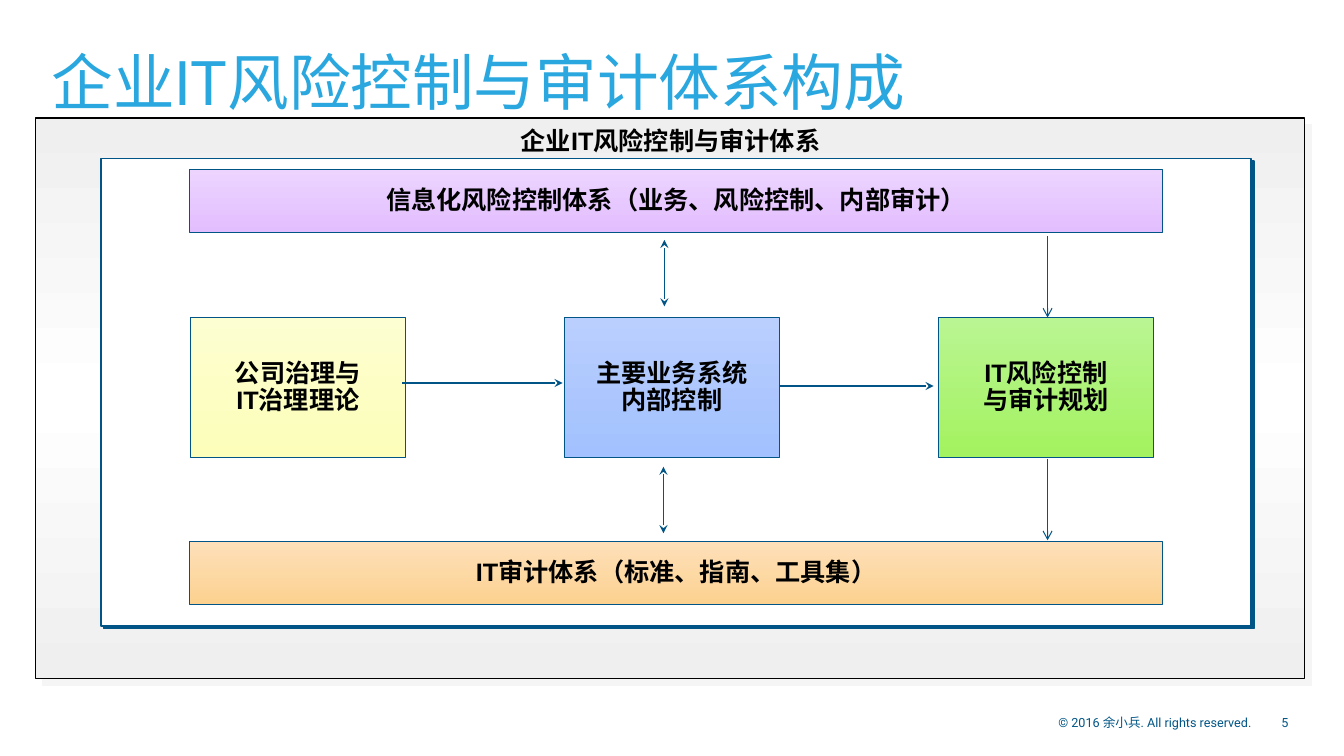
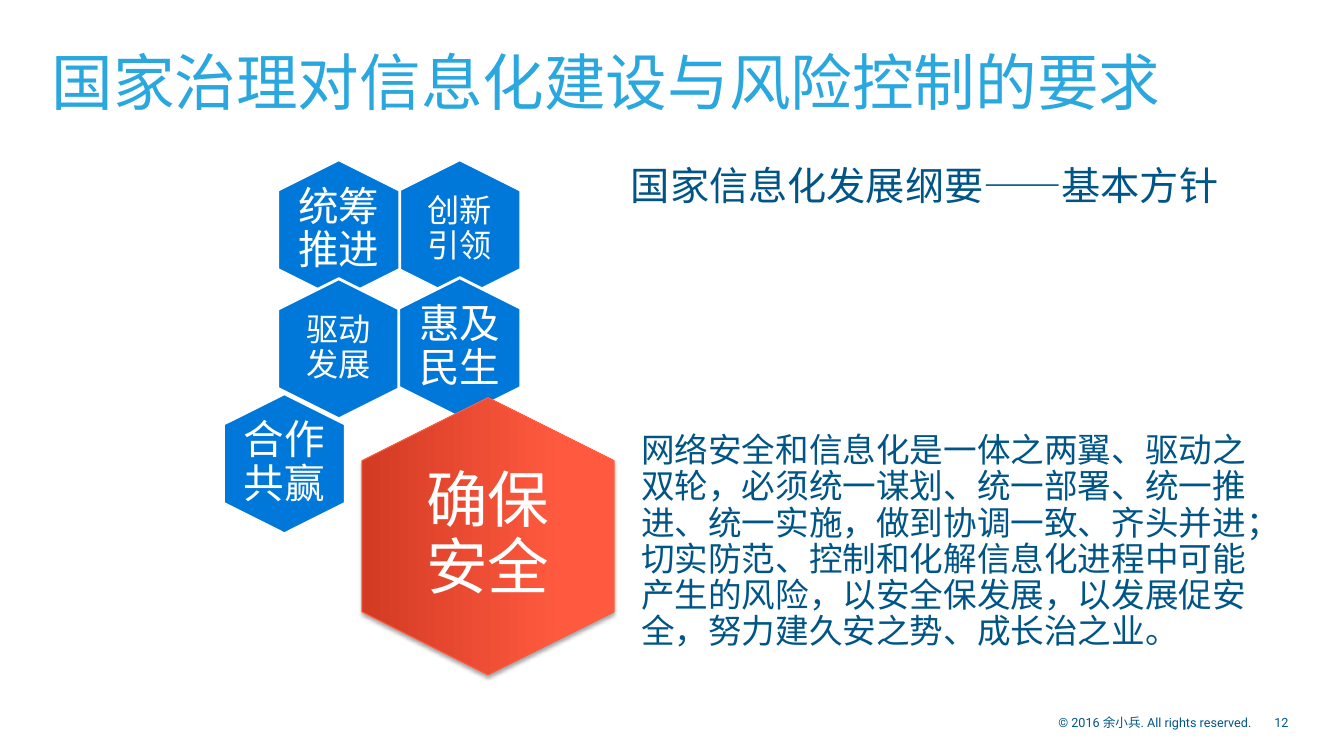
import pptx
import pptx.dml.color
import pptx.enum.dml
import pptx.enum.shapes
import pptx.enum.text
import pptx.oxml.ns
import pptx.util
from lxml import etree

RGB = pptx.dml.color.RGBColor
SHAPE = pptx.enum.shapes.MSO_SHAPE
ALIGN = pptx.enum.text.PP_ALIGN
ANCHOR = pptx.enum.text.MSO_ANCHOR
qn = pptx.oxml.ns.qn

SKY, NAVY, BLUE = RGB(0x29, 0xA7, 0xDE), RGB(0x00, 0x55, 0x86), RGB(0x00, 0x78, 0xD9)
BLACK, WHITE = RGB(0, 0, 0), RGB(0xFF, 0xFF, 0xFF)
CORAL, MIST, SMOKE = RGB(0xFE, 0x5E, 0x44), RGB(0xEF, 0xEF, 0xEF), RGB(0xF5, 0xF5, 0xF5)
GREY_FADE = [(0, MIST), (50, WHITE), (100, MIST)]
RED_FADE = [(0, RGB(0xD3, 0x3B, 0x23)), (80, RGB(0xFF, 0x5A, 0x40)), (100, RGB(0xFF, 0x5B, 0x41))]
PURPLE_FADE = [(0, RGB(0xEC, 0xD4, 0xFF)), (100, RGB(0xE3, 0xBE, 0xFF))]
ORANGE_FADE = [(0, RGB(0xFD, 0xE0, 0xBA)), (100, RGB(0xFC, 0xD1, 0x8F))]
YELLOW_FADE = [(0, RGB(0xFD, 0xFE, 0xD1)), (100, RGB(0xFC, 0xFE, 0xB9))]
BLUE_FADE = [(0, RGB(0xBA, 0xCF, 0xFE)), (100, RGB(0xA2, 0xC1, 0xFE))]
GREEN_FADE = [(0, RGB(0xBA, 0xF5, 0x93)), (100, RGB(0xA3, 0xF2, 0x5F))]

COPYRIGHT = "© 2016 余小兵. All rights reserved."

# Framework slide
FRAMEWORK_TITLE = "企业IT风险控制与审计体系构成"
FRAMEWORK_NAME = "企业IT风险控制与审计体系"
BANDS = [  # top, text, fade
    (1.68, "信息化风险控制体系（业务、风险控制、内部审计）", PURPLE_FADE),
    (5.37, "IT审计体系（标准、指南、工具集）", ORANGE_FADE),
]
STAGES = [
    (["公司治理与", "IT治理理论"], YELLOW_FADE),
    (["主要业务系统", "内部控制"], BLUE_FADE),
    (["IT风险控制", "与审计规划"], GREEN_FADE),
]
BAND_LEFT, BAND_WIDTH, BAND_HEIGHT = 1.88, 9.65, 0.63
STAGE_LEFT, STAGE_TOP, STAGE_PITCH, STAGE_WIDTH, STAGE_HEIGHT = 1.89, 3.15, 3.71, 2.13, 1.39
FLOWS = [  # start, end, line width, arrowhead at start, arrowhead at end
    ((3.99, 3.8), (5.58, 3.8), 1, None, "stealth"),
    ((7.74, 3.83), (9.26, 3.83), 1, None, "stealth"),
    ((6.59, 3.04), (6.59, 2.38), 1, "stealth", "stealth"),
    ((6.58, 5.29), (6.58, 4.63), 1, "stealth", "stealth"),
    ((10.39, 2.34), (10.39, 3.15), 0.75, None, "arrow"),
    ((10.39, 4.55), (10.39, 5.36), 0.75, None, "arrow"),
]

# Policy slide
POLICY_TITLE = "国家治理对信息化建设与风险控制的要求"
POLICY_HEADING = "国家信息化发展纲要——基本方针"
POLICY_TEXT = ("网络安全和信息化是一体之两翼、驱动之双轮，必须统一谋划、统一部署、"
               "统一推进、统一实施，做到协调一致、齐头并进；切实防范、控制和化解"
               "信息化进程中可能产生的风险，以安全保发展，以发展促安全，努力建"
               "久安之势、成长治之业。")
SMALL, LARGE = (1.39, 1.21), (2.75, 2.5)
PRINCIPLES = [  # text, centre, size, text size
    ("创新引领", (4.56, 2.28), SMALL, 23),
    ("统筹推进", (3.36, 2.28), SMALL, 29),
    ("驱动发展", (3.36, 3.46), SMALL, 23),
    ("惠及民生", (4.56, 3.45), SMALL, 29),
    ("确保安全", (4.84, 5.32), LARGE, 44),
    ("合作共赢", (2.82, 4.6), SMALL, 29),
]

deck = pptx.Presentation()
deck.slide_width, deck.slide_height = pptx.util.Inches(13.33), pptx.util.Inches(7.5)


def inches(*lengths):
    """Convert lengths in inches to a list of EMU."""
    return [pptx.util.Inches(length) for length in lengths]


def write(holder, lines, size, color, font="Roboto", bold=False, align=ALIGN.LEFT,
          anchor=ANCHOR.MIDDLE, inset=(0.1, 0.05), spacing=1.0, wrap=True):
    """Fill a shape or placeholder with evenly formatted paragraphs."""
    frame = holder.text_frame
    frame.text = "\n".join(lines)
    frame.word_wrap, frame.vertical_anchor = wrap, anchor
    frame.auto_size = pptx.enum.text.MSO_AUTO_SIZE.NONE
    frame.margin_left = frame.margin_right = pptx.util.Inches(inset[0])
    frame.margin_top = frame.margin_bottom = pptx.util.Inches(inset[1])
    for paragraph in frame.paragraphs:
        paragraph.alignment, paragraph.line_spacing = align, spacing
        paragraph.font.name, paragraph.font.size = font, pptx.util.Pt(size)
        paragraph.font.bold, paragraph.font.color.rgb = bold, color


def add_text(slide, box, lines, size, color, **style):
    """Add a text box."""
    write(slide.shapes.add_textbox(*inches(*box)), lines, size, color, **style)


def fade(shape, stops, angle):
    """Fill a shape with a gradient of any number of stops."""
    shape.fill.gradient()
    shape.fill.gradient_angle = angle
    stop_list = shape.element.spPr.find(".//" + qn("a:gsLst"))
    stop_list.clear()
    for percent, color in stops:
        stop = etree.SubElement(stop_list, qn("a:gs"), pos=str(percent * 1000))
        etree.SubElement(stop, qn("a:srgbClr"), val=str(color))


def cast_shadow(shape, color, alpha, blur, distance, angle):
    """Give a shape an outer shadow, with lengths in points."""
    effects = shape.element.spPr.find(qn("a:effectLst"))
    shadow = etree.SubElement(
        effects, qn("a:outerShdw"), blurRad=str(pptx.util.Pt(blur)),
        dist=str(pptx.util.Pt(distance)), dir=str(angle * 60000), algn="ctr", rotWithShape="0")
    tint = etree.SubElement(shadow, qn("a:srgbClr"), val=str(color))
    etree.SubElement(tint, qn("a:alpha"), val=str(alpha * 1000))


def add_block(slide, kind, box, fill, line, width=1.0, angle=270):
    """Add a preset shape with a plain colour or a list of gradient stops."""
    block = slide.shapes.add_shape(kind, *inches(*box))
    block.shadow.inherit = False
    if isinstance(fill, list):
        fade(block, fill, angle)
    else:
        block.fill.solid()
        block.fill.fore_color.rgb = fill
    block.line.color.rgb, block.line.width = line, pptx.util.Pt(width)
    return block


def add_label_block(slide, box, lines, stops):
    """Add a faded rectangle with a bold label."""
    block = add_block(slide, SHAPE.RECTANGLE, box, stops, NAVY)
    write(block, lines, 18, BLACK, font="Arial", bold=True, align=ALIGN.CENTER,
          spacing=0.9, wrap=False)


def add_flow(slide, start, end, width, head, tail):
    """Add a straight line with arrowheads."""
    flow = slide.shapes.add_connector(
        pptx.enum.shapes.MSO_CONNECTOR.STRAIGHT, *inches(*start, *end))
    flow.line.color.rgb, flow.line.width = NAVY, pptx.util.Pt(width)
    properties = flow.element.spPr
    for tag, arrow in (("a:headEnd", head), ("a:tailEnd", tail)):
        if arrow:
            etree.SubElement(properties.find(qn("a:ln")), qn(tag), type=arrow)
    etree.SubElement(properties, qn("a:effectLst"))


def add_page(title, number):
    """Add a slide with the shared title style and footer."""
    slide = deck.slides.add_slide(deck.slide_layouts.get_by_name("Title Only"))
    heading = slide.shapes.title
    heading.left, heading.top, heading.width, heading.height = inches(0.41, 0.3, 12.37, 0.87)
    write(heading, [title], 44, SKY, anchor=ANCHOR.BOTTOM, inset=(0.1, 0))
    for left, width, text in ((12.41, 0.37, str(number)), (8.19, 4.22, COPYRIGHT)):
        add_text(slide, (left, 7.06, width, 0.22), [text], 9, NAVY,
                 align=ALIGN.RIGHT, inset=(0, 0))
    return slide


def build_framework():
    """Build the framework diagram."""
    slide = add_page(FRAMEWORK_TITLE, 5)
    frame = add_block(slide, SHAPE.RECTANGLE, (0.35, 1.17, 12.59, 5.56), GREY_FADE, BLACK)
    cast_shadow(frame, SMOKE, 100, 0, 7.1, 45)
    panel = add_block(slide, SHAPE.RECTANGLE, (1, 1.57, 11.41, 4.64), WHITE, NAVY)
    cast_shadow(panel, NAVY, 100, 0, 2.8, 45)
    add_text(slide, (3.87, 1.23, 5.56, 0.37), [FRAMEWORK_NAME], 18, BLACK, font="Arial",
             bold=True, align=ALIGN.CENTER, anchor=ANCHOR.TOP, spacing=0.9)
    for column, (lines, stops) in enumerate(STAGES):
        left = STAGE_LEFT + column * STAGE_PITCH
        add_label_block(slide, (left, STAGE_TOP, STAGE_WIDTH, STAGE_HEIGHT), lines, stops)
    for top, text, stops in BANDS:
        add_label_block(slide, (BAND_LEFT, top, BAND_WIDTH, BAND_HEIGHT), [text], stops)
    for flow in FLOWS:
        add_flow(slide, *flow)


def build_policy():
    """Build the cluster of principles with its explanation."""
    slide = add_page(POLICY_TITLE, 12)
    for text, (x, y), (length, breadth), size in PRINCIPLES:
        box = (x - length / 2, y - breadth / 2, length, breadth)
        if length == LARGE[0]:
            cell = add_block(slide, SHAPE.HEXAGON, box, RED_FADE, CORAL, 0.75, angle=90)
            cast_shadow(cell, BLACK, 35, 3.1, 1.8, 90)
        else:
            cell = add_block(slide, SHAPE.HEXAGON, box, BLUE, WHITE, 2)
        cell.rotation = 90
        cell.adjustments[0], cell.adjustments[1] = 0.25, 1.155
        width, height = breadth * 0.68, length * 0.69
        add_text(slide, (x - width / 2, y - height / 2, width, height), [text], size, WHITE,
                 align=ALIGN.CENTER, inset=(0, 0), spacing=0.9)
    add_text(slide, (6.26, 4.06, 6.4, 2.64), [POLICY_TEXT], 24, NAVY,
             inset=(0.1, 0.1), spacing=0.9)
    add_text(slide, (6.16, 1.6, 6.39, 0.57), [POLICY_HEADING], 28, NAVY,
             anchor=ANCHOR.TOP, inset=(0.1, 0))


build_framework()
build_policy()
deck.save("out.pptx")
